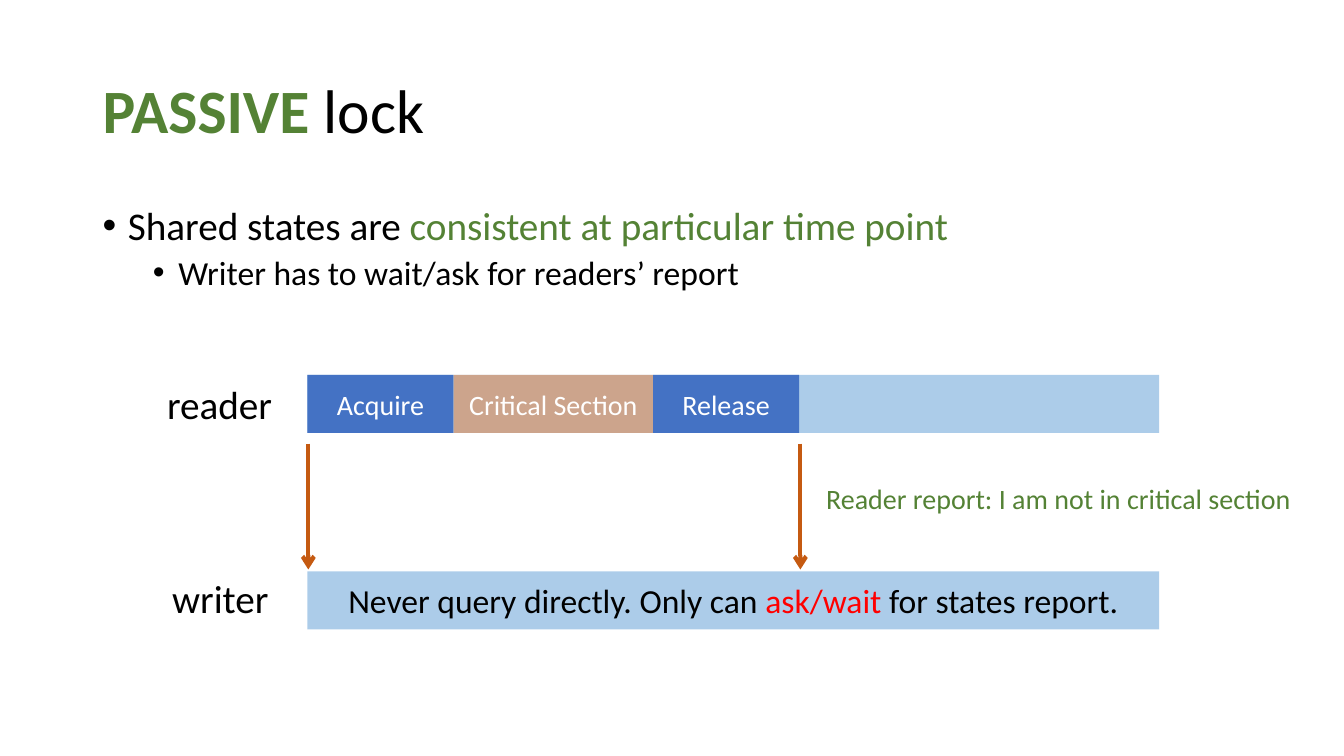
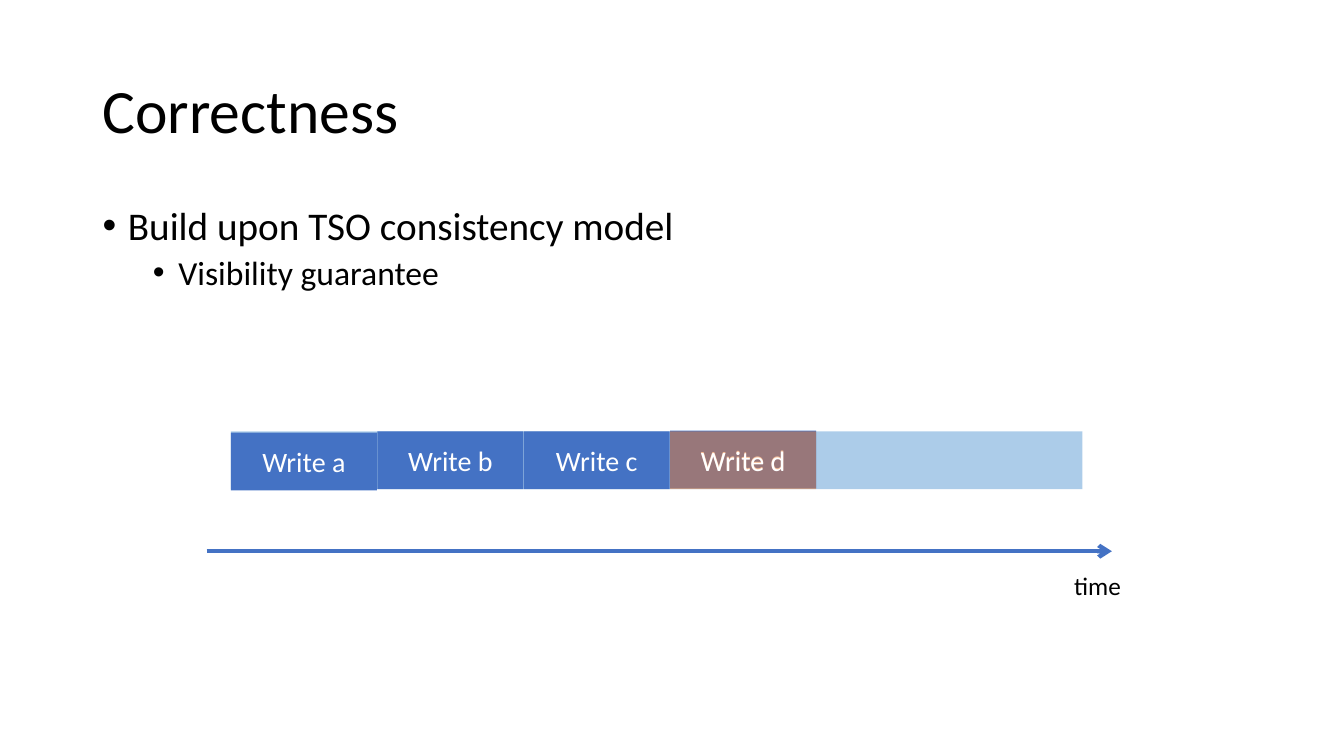
"""Builds two slides on the passive lock and on its correctness."""
from lxml import etree
from pptx import Presentation
from pptx.dml.color import RGBColor
from pptx.enum.shapes import MSO_CONNECTOR, MSO_SHAPE
from pptx.enum.text import MSO_ANCHOR, MSO_AUTO_SIZE, PP_ALIGN
from pptx.oxml.ns import qn
from pptx.util import Cm, Pt

RECTANGLE = MSO_SHAPE.RECTANGLE
STRAIGHT = MSO_CONNECTOR.STRAIGHT
MIDDLE, TOP = MSO_ANCHOR.MIDDLE, MSO_ANCHOR.TOP
LEFT, CENTER = PP_ALIGN.LEFT, PP_ALIGN.CENTER
NO_FIT, GROW = MSO_AUTO_SIZE.NONE, MSO_AUTO_SIZE.SHAPE_TO_FIT_TEXT

FONT = "Calibri"
COLORS = {
    "text": "000000", "white": "FFFFFF", "green": "548235", "red": "FF0000",
    "step": "4472C4", "track": "5B9BD5", "critical": "ED7D31", "signal": "C55A11",
}
TITLE_BOX = (2.33, 1.02, 29.21, 3.68)
BODY_BOX = (2.33, 5.08, 29.21, 12.09)
LEVELS = [{"size": 28, "margin": 0.64, "before": 0}, {"size": 24, "margin": 1.91, "before": 5}]
HANGING = 0.64
TRACK_WIDTH, TRACK_HEIGHT = 21.46, 1.46
STEP_WIDTH = 3.68

LOCK = {
    "title": [("PASSIVE", "green", True), (" lock", "text")],
    "bullets": [
        [("Shared states are ", "text"), ("consistent at particular time point", "green")],
        [("Writer has to wait/ask for readers’ report", "text")],
    ],
    "left": 7.75, "reader_top": 9.45, "writer_top": 14.4,
    "phases": [
        ("Acquire", STEP_WIDTH, "step", None),
        ("Critical Section", 5.03, "critical", 50),
        ("Release", STEP_WIDTH, "step", None),
    ],
    "writer_rule": [("Never query directly. Only can ", "text"), ("ask/wait ", "red"),
                    ("for states report.", "text")],
    "labels": [
        ("reader", (3.96, 9.45, 3.18, 1.45), 28, "text"),
        ("writer", (4.09, 14.35, 2.97, 1.45), 28, "text"),
        ("Reader report: I am not in critical section", (20.57, 12.01, 12.34, 1.12), 20, "green"),
    ],
    "signals": [7.77, 20.17], "signal_span": (11.18, 14.35),
}
CORRECTNESS = {
    "title": [("Correctness", "text")],
    "bullets": [
        [("Build upon TSO consistency model", "text")],
        [("Visibility guarantee", "text")],
    ],
    "left": 5.82, "top": 10.87, "pitch": 3.69,
    "writes": [
        ("Write a", 0, 10.9, "step", None),
        ("Write b", 1, 10.87, "step", None),
        ("Write c", 2, 10.87, "step", None),
        ("Write d", 3, 10.85, "step", None),
        ("Write d", 3, 10.87, "critical", 50),
    ],
    "time_axis": (5.21, 13.89, 28.02, 13.89),
    "time_label": ("time", (26.82, 14.25, 1.7, 1.02), 18, "text"),
}


def color(name):
    return RGBColor.from_string(COLORS[name])


def write_runs(paragraph, runs, size):
    for text, tint, *bold in runs:
        run = paragraph.add_run()
        run.text = text
        run.font.name = FONT
        run.font.size = Pt(size)
        run.font.bold = bool(bold)
        run.font.color.rgb = color(tint)


def place(placeholder, box, anchor):
    placeholder.left, placeholder.top, placeholder.width, placeholder.height = map(Cm, box)
    frame = placeholder.text_frame
    frame.word_wrap = True
    frame.auto_size = NO_FIT
    frame.vertical_anchor = anchor
    return frame


def add_bullet(paragraph, level):
    properties = paragraph._p.get_or_add_pPr()
    properties.set("marL", str(Cm(LEVELS[level]["margin"])))
    properties.set("indent", str(-Cm(HANGING)))
    etree.SubElement(properties, qn("a:buFont"), typeface="Arial")
    etree.SubElement(properties, qn("a:buChar"), char="•")


def add_content_slide(deck, content):
    slide = deck.slides.add_slide(deck.slide_layouts[1])
    heading = place(slide.shapes.title, TITLE_BOX, MIDDLE).paragraphs[0]
    heading.alignment = LEFT
    heading.line_spacing = 0.9
    write_runs(heading, content["title"], 44)
    body = place(slide.placeholders[1], BODY_BOX, TOP)
    for level, runs in enumerate(content["bullets"]):
        bullet = body.add_paragraph() if level else body.paragraphs[0]
        bullet.level = level
        add_bullet(bullet, level)
        bullet.line_spacing = 0.9
        bullet.space_before = Pt(LEVELS[level]["before"])
        write_runs(bullet, runs, LEVELS[level]["size"])
    return slide


def add_block(slide, left, top, width, fill, opacity=None, runs=(), size=20):
    block = slide.shapes.add_shape(RECTANGLE, Cm(left), Cm(top), Cm(width), Cm(TRACK_HEIGHT))
    block.shadow.inherit = False
    block.fill.solid()
    block.fill.fore_color.rgb = color(fill)
    block.line.fill.background()
    if opacity:
        tint = block.element.spPr.find(qn("a:solidFill")).find(qn("a:srgbClr"))
        etree.SubElement(tint, qn("a:alpha"), val=str(opacity * 1000))
    frame = block.text_frame
    frame.word_wrap = True
    frame.vertical_anchor = MIDDLE
    frame.paragraphs[0].alignment = CENTER
    write_runs(frame.paragraphs[0], runs, size)


def add_label(slide, text, box, size, tint):
    frame = slide.shapes.add_textbox(*map(Cm, box)).text_frame
    frame.word_wrap = False
    frame.auto_size = GROW
    write_runs(frame.paragraphs[0], [(text, tint)], size)


def add_arrow(slide, ends, tint):
    arrow = slide.shapes.add_connector(STRAIGHT, *map(Cm, ends))
    arrow.line.color.rgb = color(tint)
    arrow.line.width = Pt(3)
    properties = arrow.element.spPr
    etree.SubElement(properties.find(qn("a:ln")), qn("a:tailEnd"), type="arrow")
    etree.SubElement(properties, qn("a:effectLst"))


def build_lock(deck):
    slide = add_content_slide(deck, LOCK)
    left, top = LOCK["left"], LOCK["reader_top"]
    add_block(slide, left, top, TRACK_WIDTH, "track", 50)
    for name, width, fill, opacity in LOCK["phases"]:
        add_block(slide, left, top, width, fill, opacity, [(name, "white")])
        left += width
    add_block(slide, LOCK["left"], LOCK["writer_top"], TRACK_WIDTH, "track", 50,
              LOCK["writer_rule"], 24)
    for label in LOCK["labels"]:
        add_label(slide, *label)
    start, end = LOCK["signal_span"]
    for x in LOCK["signals"]:
        add_arrow(slide, (x, start, x, end), "signal")


def build_correctness(deck):
    slide = add_content_slide(deck, CORRECTNESS)
    left = CORRECTNESS["left"]
    add_block(slide, left, CORRECTNESS["top"], TRACK_WIDTH, "track", 50)
    for name, position, top, fill, opacity in CORRECTNESS["writes"]:
        add_block(slide, left + position * CORRECTNESS["pitch"], top, STEP_WIDTH,
                  fill, opacity, [(name, "white")])
    add_arrow(slide, CORRECTNESS["time_axis"], "step")
    add_label(slide, *CORRECTNESS["time_label"])


def main():
    deck = Presentation()
    deck.slide_width, deck.slide_height = Cm(33.87), Cm(19.05)
    build_lock(deck)
    build_correctness(deck)
    deck.save("out.pptx")


if __name__ == "__main__":
    main()
